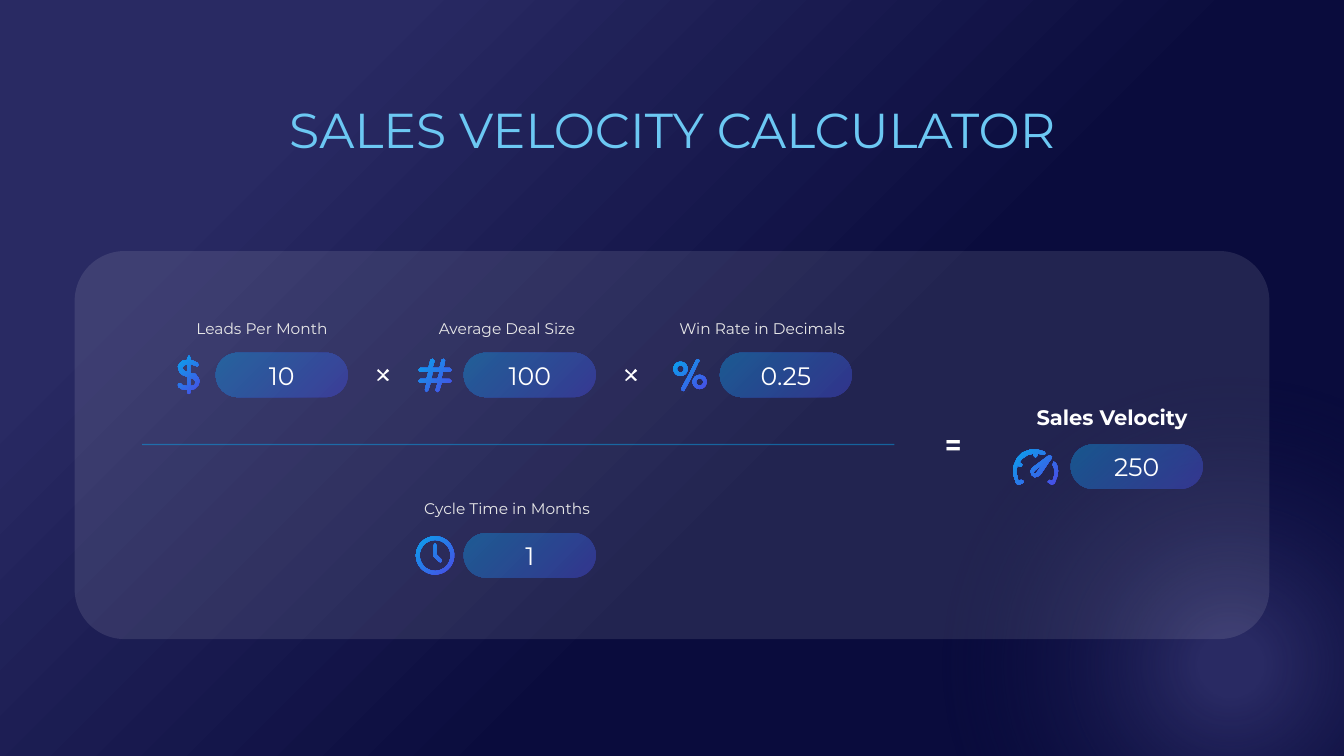
from math import cos, pi, sin

from lxml.etree import SubElement
from pptx import Presentation
from pptx.dml.color import RGBColor
from pptx.enum.shapes import MSO_CONNECTOR, MSO_SHAPE
from pptx.enum.text import MSO_ANCHOR, MSO_AUTO_SIZE, PP_ALIGN
from pptx.oxml.ns import qn
from pptx.util import Inches, Pt

COLUMNS, ROWS = 1333, 750
FONT = "Montserrat"
WHITE = RGBColor(0xFF, 0xFF, 0xFF)
PALE = RGBColor(0xE8, 0xE8, 0xE8)
SKY = RGBColor(0x6C, 0xC8, 0xF3)
BLUE = RGBColor(0x0A, 0xA3, 0xEB)
VIOLET = RGBColor(0x4A, 0x4C, 0xE5)
INDIGO = RGBColor(0x29, 0x2A, 0x63)
NAVY = RGBColor(0x0A, 0x0C, 0x3D)
CORNER = {"l": 0, "t": 0, "r": 100, "b": 100}
CENTRE = {"l": 50, "t": 50, "r": 50, "b": 50}
PILL_WIDTH, PILL_HEIGHT = 131, 44
LABEL_WIDTH, LABEL_GAP = 187, 10

DOLLAR = [
    [(188, 353), (189, 355), (189, 357), (192, 358), (196, 360), (197, 362), (196, 364),
     (194, 363), (189, 361), (189, 370), (194, 371), (197, 375), (198, 378), (197, 382),
     (193, 386), (189, 387), (189, 390), (187.5, 391), (186, 390), (186, 387), (180, 386),
     (177, 384), (176.5, 382), (177, 380.5), (179, 380), (181, 382), (186, 383), (186, 374),
     (181, 372), (178, 369), (176.5, 364), (178, 360.5), (181, 358), (186, 357), (186, 355),
     (187, 353)],
    [(189, 375), (189, 383), (193, 382), (194, 379), (192, 376)],
    [(186, 369), (186, 361), (182, 363), (181, 365.5), (183, 368)],
]
HASH = [
    [(421, 365), (425, 365), (427, 357), (429, 356), (431, 358), (429, 365), (436, 365),
     (438, 357), (440, 356), (441.5, 358), (440, 365), (446, 365), (448, 367), (446, 369),
     (439, 369), (438, 376), (446, 376), (448, 378), (446, 380), (438, 380), (436, 387),
     (434, 389), (432, 387), (434, 380), (427, 380), (425, 387), (423, 389), (421.5, 387),
     (423, 380), (417, 380), (415, 378), (417, 376), (423, 376), (425, 369), (417, 369),
     (415, 367), (417, 365)],
    [(428, 376), (434, 376), (436, 369), (429, 369)],
]
SLASH = [(691, 357), (690, 358), (683, 372), (676, 385), (676, 387), (678, 388), (679, 387),
         (685, 376), (693, 359), (694, 358), (693, 356.5)]
HANDS = [(430, 551), (430, 552), (435, 557), (437, 558), (438, 557), (438, 555), (434, 551),
         (433, 550), (433, 541), (431.5, 539), (430, 541)]
GAUGE = [
    [(1005, 466), (1005, 463), (1009, 454), (1014, 449), (1022, 446), (1029, 446),
     (1036, 448), (1037, 450), (1036, 451), (1034, 451), (1029, 450), (1029, 452),
     (1027, 454), (1025, 452), (1025, 450), (1019, 451.5), (1014, 455), (1011, 458.5),
     (1013, 460), (1014, 461), (1013, 463), (1012, 463), (1009, 462), (1008, 468),
     (1010, 477), (1013, 476), (1015, 477), (1015, 479), (1011, 481), (1008, 480),
     (1005, 471)],
    [(1029, 473), (1032, 471), (1040, 459), (1043, 455), (1043.5, 453), (1042, 452),
     (1040, 452), (1032, 458), (1024, 464), (1022, 467), (1023, 471), (1026, 473.5)],
    [(1028, 469), (1027, 470), (1025, 469), (1026, 467), (1034, 461)],
    [(1049, 463), (1047, 459), (1045, 458), (1044, 461), (1046, 466), (1046, 470),
     (1044, 477), (1041, 476), (1039, 478), (1040, 479), (1043, 481), (1046, 480),
     (1049, 472), (1049.5, 467)],
]
CROSS = [(6, -4), (4, -6), (0, -1), (-5, -6), (-6, -4), (-1, 0),
         (-6, 5), (-5, 6), (0, 2), (4, 6), (6, 5), (1, 0)]


def grid(*steps):
    """Turn grid steps, a hundredth of an inch each, into lengths."""
    return [Inches(step / 100) for step in steps]


def ring(x, y, outer, inner):
    """Return the two circular contours of a ring."""
    angles = [2 * pi * step / 48 for step in range(48)]
    return [[(x + radius * cos(angle), y + radius * sin(angle)) for angle in angles]
            for radius in (outer, inner)]


def set_opacity(color_element, percent):
    """Give a colour element an opacity."""
    SubElement(color_element, qn("a:alpha"), val=str(percent * 1000))


def paint_gradient(fill, holder, stops, focus):
    """Fill with a circular gradient of (position, colour, opacity) stops."""
    fill.gradient()
    gradient = next(holder.iter(qn("a:gradFill")))
    gradient[:] = []
    stop_list = SubElement(gradient, qn("a:gsLst"))
    for position, color, opacity in stops:
        stop = SubElement(stop_list, qn("a:gs"), pos=str(position * 1000))
        set_opacity(SubElement(stop, qn("a:srgbClr"), val=str(color)), opacity)
    circle = SubElement(gradient, qn("a:path"), path="circle")
    SubElement(circle, qn("a:fillToRect"), {side: str(share * 1000) for side, share in focus.items()})


def write(shape, text, size, color, bold=False, wrap=False):
    """Write one centred run into a shape."""
    frame = shape.text_frame
    frame.word_wrap = wrap
    frame.auto_size = MSO_AUTO_SIZE.NONE
    frame.vertical_anchor = MSO_ANCHOR.MIDDLE
    paragraph = frame.paragraphs[0]
    paragraph.alignment = PP_ALIGN.CENTER
    run = paragraph.add_run()
    run.text = text
    run.font.name, run.font.size, run.font.bold = FONT, Pt(size), bold
    run.font.color.rgb = color


def add_text(slide, box, text, size, color, bold=False):
    """Add a text box on the grid."""
    write(slide.shapes.add_textbox(*grid(*box)), text, size, color, bold)


def add_plain_shape(slide, kind, box):
    """Add a preset shape without line or shadow."""
    shape = slide.shapes.add_shape(kind, *grid(*box))
    shape.shadow.inherit = False
    shape.line.fill.background()
    return shape


def add_outline(slide, contours):
    """Add a freeform made of closed contours."""
    first, *others = [[grid(*point) for point in contour] for contour in contours]
    builder = slide.shapes.build_freeform(*first[0], scale=1.0)
    builder.add_line_segments(first[1:], close=True)
    for contour in others:
        builder.move_to(*contour[0])
        builder.add_line_segments(contour[1:], close=True)
    shape = builder.convert_to_shape()
    shape.shadow.inherit = False
    shape.line.fill.background()
    return shape


def add_cross(slide, x, y):
    """Add a multiplication sign centred on a grid point."""
    sign = add_outline(slide, [[(x + dx, y + dy) for dx, dy in CROSS]])
    sign.fill.solid()
    sign.fill.fore_color.rgb = WHITE


def add_measure(slide, left, top, centre, label, value, icon, result=False):
    """Add a value pill with its icon and the label above it."""
    symbol = add_outline(slide, icon)
    paint_gradient(symbol.fill, symbol.element, [(0, BLUE, 100), (100, VIOLET, 100)], CORNER)
    pill = add_plain_shape(slide, MSO_SHAPE.ROUNDED_RECTANGLE, (left, top, PILL_WIDTH, PILL_HEIGHT))
    pill.adjustments[0] = 0.5
    paint_gradient(pill.fill, pill.element, [(0, BLUE, 40), (100, VIOLET, 40)], CORNER)
    write(pill, value, 18, WHITE, wrap=True)
    height, size, color = (35, 15, WHITE) if result else (29, 11, PALE)
    box = (centre - LABEL_WIDTH / 2, top - LABEL_GAP - height, LABEL_WIDTH, height)
    add_text(slide, box, label, size, color, result)


def add_backdrop(slide):
    """Paint the background, the glow and the glass panel."""
    paint_gradient(slide.background.fill, slide.element, [(19, INDIGO, 100), (60, NAVY, 100)], CORNER)
    glow = add_plain_shape(slide, MSO_SHAPE.OVAL, (935, 375, 570, 568))
    paint_gradient(glow.fill, glow.element, [(8, INDIGO, 100), (71, NAVY, 0)], CENTRE)
    panel = add_plain_shape(slide, MSO_SHAPE.ROUNDED_RECTANGLE, (74, 249, 1185, 385))
    panel.adjustments[0] = 0.129
    panel.fill.solid()
    panel.fill.fore_color.rgb = WHITE
    set_opacity(next(panel.element.iter(qn("a:srgbClr"))), 10)


def add_fraction_bar(slide):
    """Add the thin line between numerator and denominator."""
    bar = slide.shapes.add_connector(MSO_CONNECTOR.STRAIGHT, *grid(141, 441, 887, 441))
    bar.line.color.rgb = BLUE
    bar.line.width = Pt(1)
    set_opacity(next(bar.element.iter(qn("a:srgbClr"))), 50)
    SubElement(bar.element.spPr, qn("a:effectLst"))


def main():
    """Build the sales velocity slide."""
    presentation = Presentation()
    presentation.slide_width, presentation.slide_height = grid(COLUMNS, ROWS)
    slide = presentation.slides.add_slide(presentation.slide_layouts[5])
    add_backdrop(slide)
    title = slide.shapes.title
    title.left, title.top, title.width, title.height = grid(271, 93, 792, 69)
    write(title, "SALES VELOCITY CALCULATOR", 35, SKY)
    add_fraction_bar(slide)
    add_text(slide, (927, 419, 37, 44), "=", 20, WHITE, True)
    percent = ring(694, 379, 7, 3.5) + ring(675, 366, 7, 3.5) + [SLASH]
    clock = ring(431.5, 551, 19, 15.3) + [HANDS]
    add_measure(slide, 214, 350, 260, "Leads Per Month", "10", DOLLAR)
    add_measure(slide, 460, 350, 503, "Average Deal Size", "100", HASH)
    add_measure(slide, 714, 350, 756, "Win Rate in Decimals", "0.25", percent)
    add_measure(slide, 460, 529, 503, "Cycle Time in Months", "1", clock)
    add_measure(slide, 1062, 441, 1103, "Sales Velocity", "250", GAUGE, result=True)
    for x in (380, 626):
        add_cross(slide, x, 372)
    presentation.save("out.pptx")


if __name__ == "__main__":
    main()
